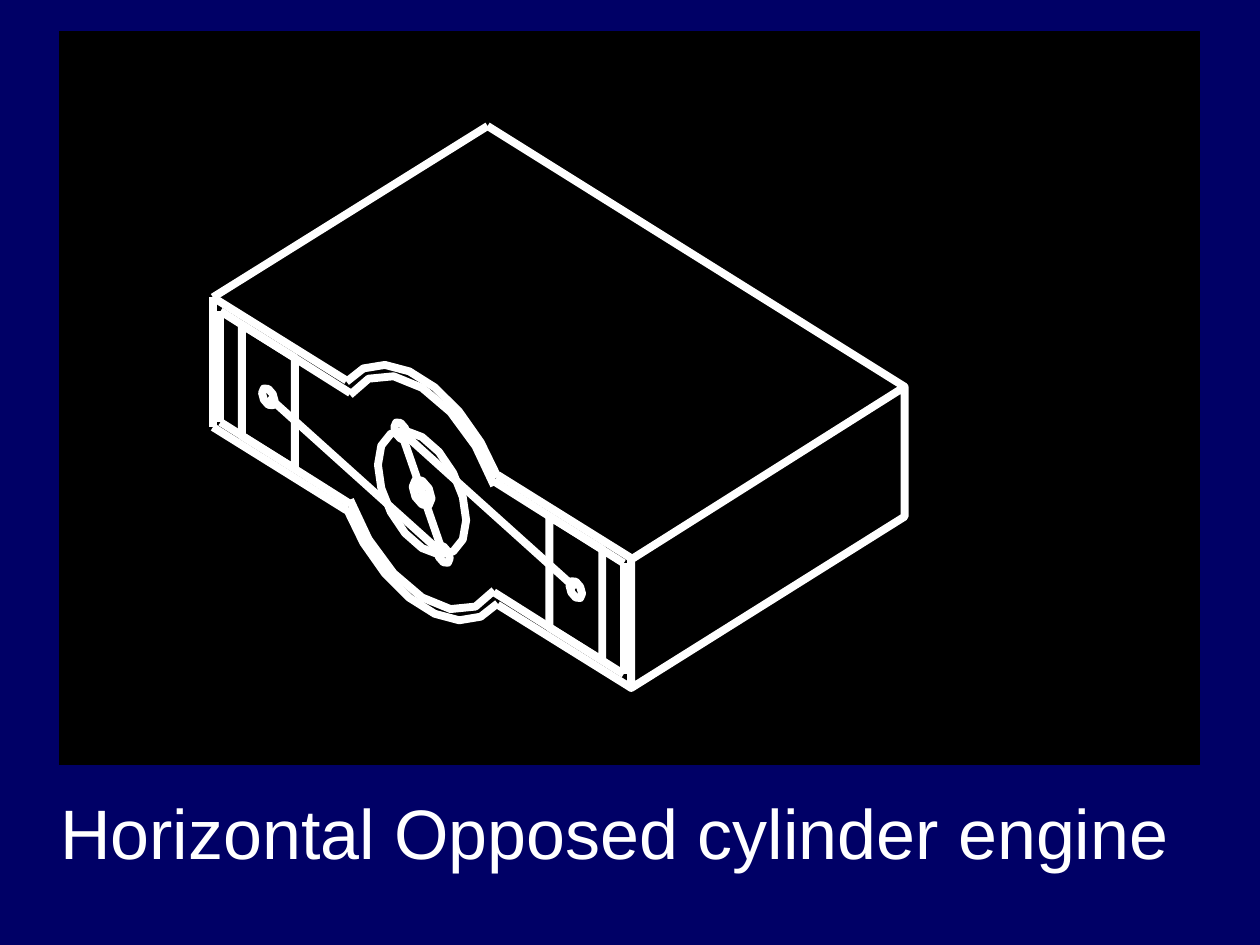
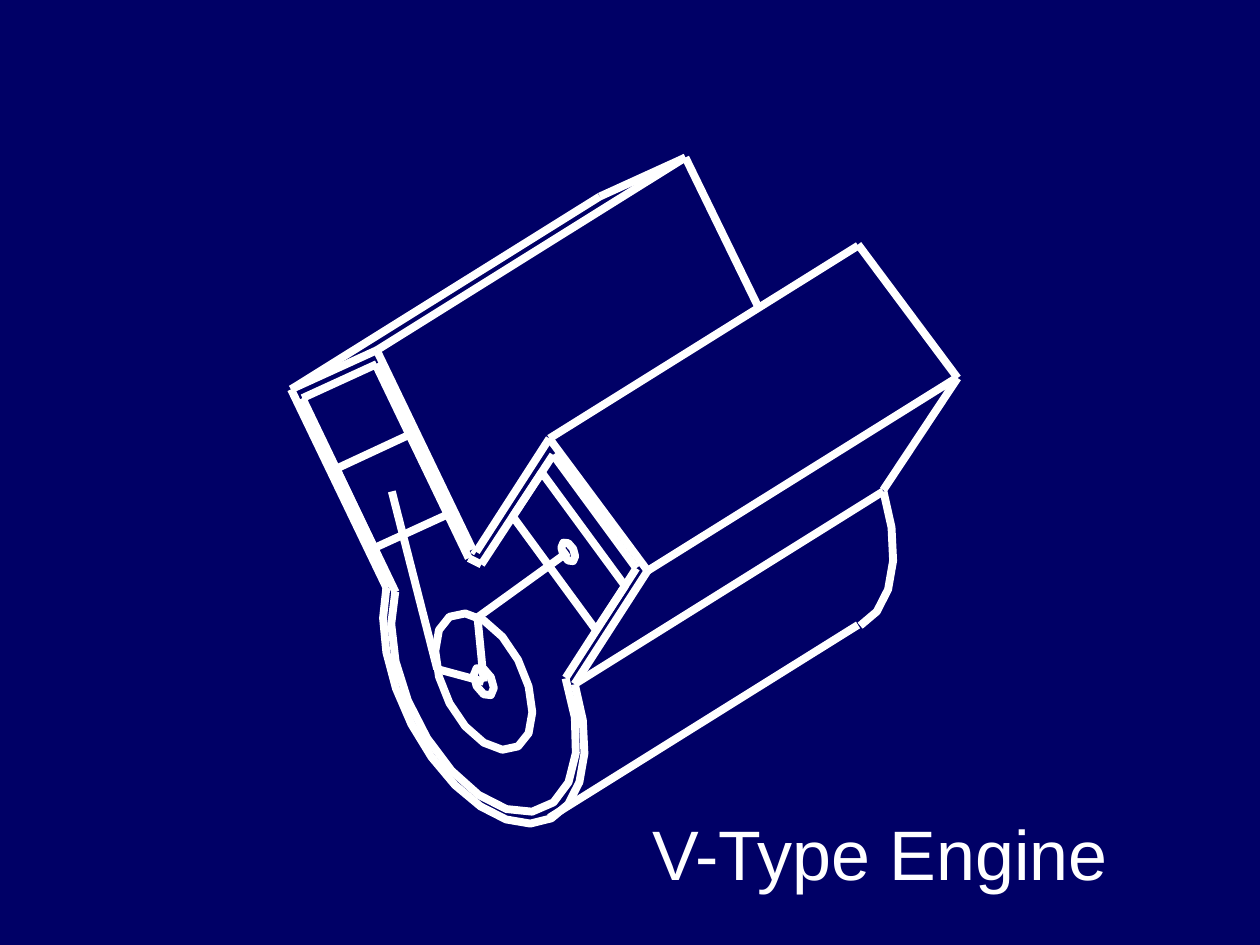
import math

import pptx
import pptx.dml.color
import pptx.enum.shapes
import pptx.oxml.ns
import pptx.util
from pptx.util import Inches

COLORS = {"background": "000066", "panel": "000000", "ink": "FFFFFF"}
RGB = {role: pptx.dml.color.RGBColor.from_string(code) for role, code in COLORS.items()}


def add_caption(slide, text, left, top, width, height=0.77, size=40, font="Arial", color="ink"):
    box = slide.shapes.add_textbox(Inches(left), Inches(top), Inches(width), Inches(height))
    box.text_frame.word_wrap = True
    box.text_frame.margin_top = Inches(0.1)
    run = box.text_frame.paragraphs[0].add_run()
    run.text = text
    run.font.size = pptx.util.Pt(size)
    run.font.name = font
    run.font.color.rgb = RGB[color]


def add_stroke(slide, points, closed=False):
    """Draw a connector through two points, or an unfilled outline through more."""
    points = [(Inches(x), Inches(y)) for x, y in points]
    if len(points) == 2:
        stroke = slide.shapes.add_connector(
            pptx.enum.shapes.MSO_CONNECTOR.STRAIGHT, *points[0], *points[1])
        stroke._element.spPr.append(
            stroke._element.makeelement(pptx.oxml.ns.qn("a:effectLst"), {}))
    else:
        builder = slide.shapes.build_freeform(*points[0])
        builder.add_line_segments(points[1:], close=closed)
        stroke = builder.convert_to_shape()
        stroke.fill.background()
        stroke.shadow.inherit = False
    stroke.line.color.rgb = RGB["ink"]
    stroke.line.width = pptx.util.Pt(4.5)


# Flat-four engine: one half is listed, the other is its half turn about the crank
flat_x, flat_y = 3.35, 3.91
half_lines = [
    [(2.78, 4), (1.75, 3.35)],
    [(2.78, 3.12), (1.75, 2.47)],
    [(1.75, 2.47), (1.75, 3.35)],
    [(2.75, 3.02), (1.69, 2.36)],
    [(2.75, 4.05), (1.69, 3.39)],
    [(1.69, 2.36), (1.69, 3.39)],
    [(2.13, 3.15), (3.52, 4.4)],  # connecting rod
]
half_piston = [(2.34, 2.84), (2.34, 3.72), (1.92, 3.46), (1.92, 2.58)]
flat_lines = [
    [(3.18, 3.42), (3.52, 4.4)],  # crank throw
    [(1.69, 2.36), (3.87, 1)],
    [(7.18, 3.07), (3.87, 1)],
]
flat_outlines = [[(5.01, 5.46), (5.01, 4.44), (7.18, 3.07), (7.18, 4.1)]]
for turned in (False, True):
    for part, target in [(line, flat_lines) for line in half_lines] + [(half_piston, flat_outlines)]:
        target.append([(2 * flat_x - x, 2 * flat_y - y) if turned else (x, y) for x, y in part])

# Arcs: centre x, centre y, radius, start angle, end angle, segments
flat_arcs = [(flat_x, flat_y, 0.35, 0, 360, 16), (flat_x, flat_y, 0.075, 0, 360, 8)]
for turn in (0, 180):
    flat_arcs.append((flat_x, flat_y, 0.66, 30 + turn, 150 + turn, 6))
    flat_arcs.append((flat_x, flat_y, 0.72, 33.6 + turn, 146.4 + turn, 7))
for pin in ((3.18, 3.42), (3.52, 4.4), (2.13, 3.15), (4.57, 4.68)):
    flat_arcs.append((*pin, 0.05, 0, 360, 8))

# V engine
vee_x, vee_y = 3.84, 5.41
depth_x, depth_y = 2.45, -1.53
vee_lines = [
    # inner and outer walls of the right bank
    [(5.05, 4.51), (4.39, 3.61)],
    [(5.14, 4.53), (4.36, 3.48)],
    [(3.82, 4.48), (4.39, 3.61)],
    [(3.78, 4.38), (4.36, 3.48)],
    [(4.49, 5.38), (5.05, 4.51)],
    [(4.56, 5.43), (5.14, 4.53)],
    # inner and outer walls of the left bank
    [(2.4, 3.16), (2.99, 2.89)],
    [(2.31, 3.09), (2.99, 2.78)],
    [(3.72, 4.43), (2.98, 2.89)],
    [(3.75, 4.36), (2.99, 2.78)],
    [(3.14, 4.7), (2.4, 3.16)],
    [(3.07, 4.67), (2.31, 3.09)],
    # valley between the banks
    [(3.72, 4.43), (3.82, 4.48)],
    [(3.75, 4.36), (3.78, 4.38)],
    # crank throws and connecting rods
    [(vee_x, vee_y), (3.47, 5.31)],
    [(3.47, 5.31), (3.11, 3.9)],
    [(4.51, 4.38), (3.79, 4.9)],
    [(3.79, 4.9), (vee_x, vee_y)],
    # rear face
    [(7.6, 3), (6.81, 1.94)],
    [(5.44, 1.25), (4.76, 1.56)],
    [(6.02, 2.44), (5.44, 1.25)],
    [(7.01, 3.89), (7.6, 3)],
]
for x, y in ((5.14, 4.53), (4.56, 5.43), (4.36, 3.48), (2.99, 2.78), (2.31, 3.09), (4.36, 6.49)):
    vee_lines.append([(x, y), (x + depth_x, y + depth_y)])
vee_pistons = [
    [(4.73, 5), (4.07, 4.1), (4.3, 3.75), (4.96, 4.65)],
    [(2.97, 4.35), (3.56, 4.08), (3.25, 3.45), (2.67, 3.72)],
]
vee_arcs = [
    (4.51, 4.38, 0.055, 0, 360, 8),
    (vee_x, vee_y, 0.08, 0, 360, 8),
    (vee_x, vee_y, 0.385, 0, 360, 16),
    (vee_x, vee_y, 0.735, 152, 377, 13),
    (vee_x, vee_y, 0.8, 154.5, 374.7, 15),
    (vee_x + depth_x, vee_y + depth_y, 0.8, 154.5, 227.9, 5),
]

engines = [
    (flat_lines, flat_outlines, flat_arcs, ("Horizontal Opposed cylinder engine", 0.38, 6.17, 9.23)),
    (vee_lines, vee_pistons, vee_arcs, ("V-Type Engine", 5.08, 6.33, 4.67)),
]

deck = pptx.Presentation()
deck.slide_width, deck.slide_height = Inches(10), Inches(7.5)

for number, (lines, outlines, arcs, caption) in enumerate(engines):
    slide = deck.slides.add_slide(deck.slide_layouts[6])
    slide.background.fill.solid()
    slide.background.fill.fore_color.rgb = RGB["background"]

    if number == 0:
        panel = slide.shapes.add_shape(
            pptx.enum.shapes.MSO_SHAPE.RECTANGLE,
            Inches(0.47), Inches(0.25), Inches(9.05), Inches(5.82))
        panel.shadow.inherit = False
        panel.fill.solid()
        panel.fill.fore_color.rgb = RGB["panel"]
        panel.line.color.rgb = RGB["panel"]
        panel.line.width = 0

    for line in lines:
        add_stroke(slide, line)
    for outline in outlines:
        add_stroke(slide, outline, closed=True)

    # Circles of the front face, seen in oblique projection
    for center_x, center_y, radius, start, end, segments in arcs:
        full = end - start == 360
        points = []
        for step in range(segments if full else segments + 1):
            angle = math.radians(start + (end - start) * step / segments)
            across, up = radius * math.cos(angle), radius * math.sin(angle)
            points.append((center_x - across, center_y - 0.63 * across - 1.26 * up))
        add_stroke(slide, points, closed=full)

    add_caption(slide, *caption)

deck.save("out.pptx")
